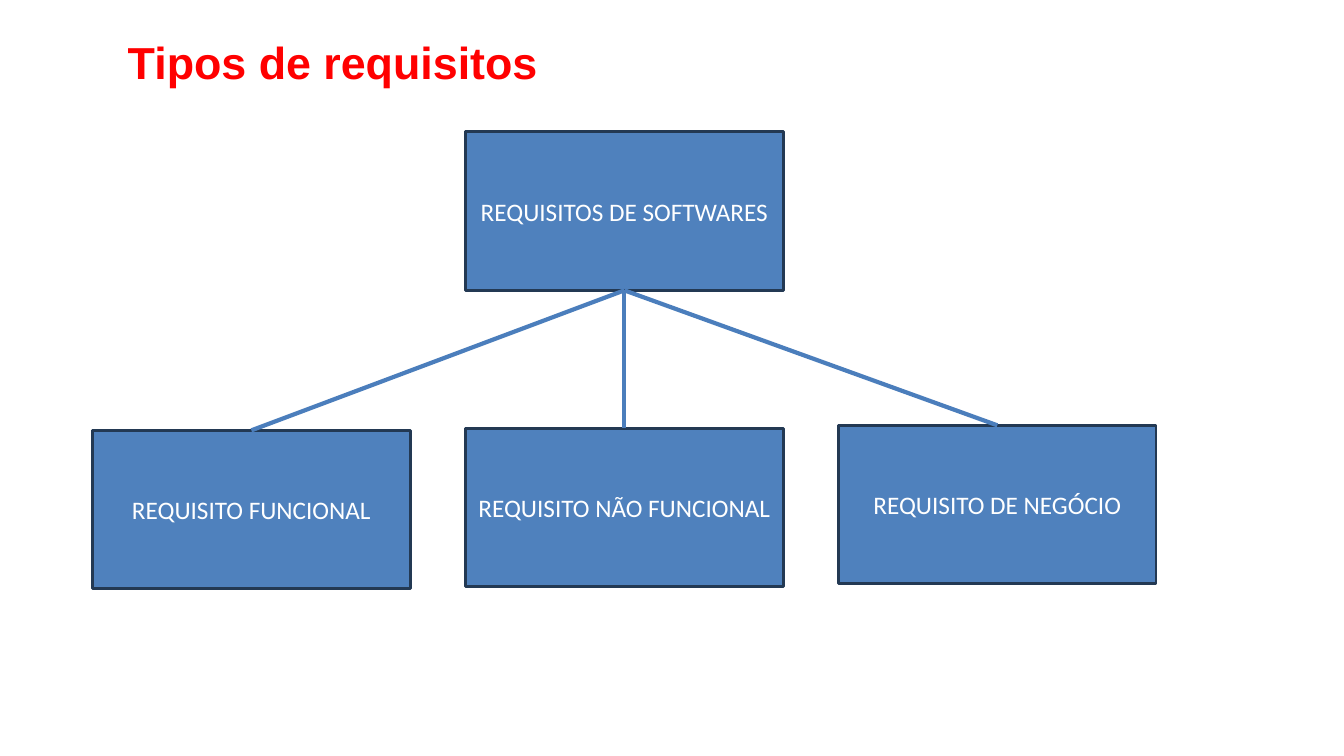
from dataclasses import dataclass

import pptx
import pptx.dml.color
import pptx.enum.shapes
import pptx.enum.text
import pptx.oxml.ns
import pptx.shapes.autoshape
import pptx.slide
import pptx.text.text
import pptx.util
from lxml import etree

Pt = pptx.util.Pt

BOX_WIDTH, BOX_HEIGHT = 226.8, 113.2
FIRST_LEFT, COLUMN_PITCH = 66.2, 266.4


@dataclass(frozen=True)
class Requirement:
    label: str
    column: int
    top: float


ROOT = Requirement("REQUISITOS DE SOFTWARES", 1, 94.2)
KINDS = [
    Requirement("REQUISITO FUNCIONAL", 0, 307.4),
    Requirement("REQUISITO NÃO FUNCIONAL", 1, 305.8),
    Requirement("REQUISITO DE NEGÓCIO", 2, 303.8),
]


def color(value: str) -> pptx.dml.color.RGBColor:
    return pptx.dml.color.RGBColor.from_string(value)


def add_run(paragraph: pptx.text.text._Paragraph, text: str, font: str,
            size: float, fill: str, bold: bool = False) -> None:
    run = paragraph.add_run()
    run.text = text
    run.font.name = font
    run.font.size = Pt(size)
    run.font.bold = bold
    run.font.color.rgb = color(fill)


def add_title(slide: pptx.slide.Slide, text: str) -> None:
    title = slide.shapes.add_textbox(Pt(84.2), Pt(20.9), Pt(731.5), Pt(46))
    title.text_frame.word_wrap = True
    add_run(title.text_frame.paragraphs[0], text, "Arial", 32, "FF0000", bold=True)


def add_box(slide: pptx.slide.Slide,
            requirement: Requirement) -> pptx.shapes.autoshape.Shape:
    left = FIRST_LEFT + requirement.column * COLUMN_PITCH
    box = slide.shapes.add_shape(
        pptx.enum.shapes.MSO_SHAPE.RECTANGLE,
        Pt(left), Pt(requirement.top), Pt(BOX_WIDTH), Pt(BOX_HEIGHT))
    box.shadow.inherit = False
    box.fill.solid()
    box.fill.fore_color.rgb = color("4F81BD")
    box.line.color.rgb = color("233953")
    box.line.width = Pt(2)
    frame = box.text_frame
    frame.word_wrap = True
    frame.vertical_anchor = pptx.enum.text.MSO_ANCHOR.MIDDLE
    paragraph = frame.paragraphs[0]
    paragraph.alignment = pptx.enum.text.PP_ALIGN.CENTER
    add_run(paragraph, requirement.label, "Calibri", 18, "FFFFFF")
    return box


def add_branch(slide: pptx.slide.Slide, parent: pptx.shapes.autoshape.Shape,
               child: pptx.shapes.autoshape.Shape) -> None:
    branch = slide.shapes.add_connector(
        pptx.enum.shapes.MSO_CONNECTOR.STRAIGHT, Pt(0), Pt(0), Pt(0), Pt(0))
    branch.begin_connect(parent, 2)
    branch.end_connect(child, 0)
    branch.line.color.rgb = color("4B7EBC")
    branch.line.width = Pt(3)
    etree.SubElement(branch._element.spPr, pptx.oxml.ns.qn("a:effectLst"))


def main() -> None:
    presentation = pptx.Presentation()
    presentation.slide_width, presentation.slide_height = Pt(960), Pt(540)
    slide = presentation.slides.add_slide(presentation.slide_layouts[6])

    # Title
    add_title(slide, "Tipos de requisitos")

    # Requirement boxes
    root = add_box(slide, ROOT)
    kinds = [add_box(slide, kind) for kind in KINDS]

    # Branches from the root to each kind
    for kind in kinds:
        add_branch(slide, root, kind)

    presentation.save("out.pptx")


if __name__ == "__main__":
    main()
